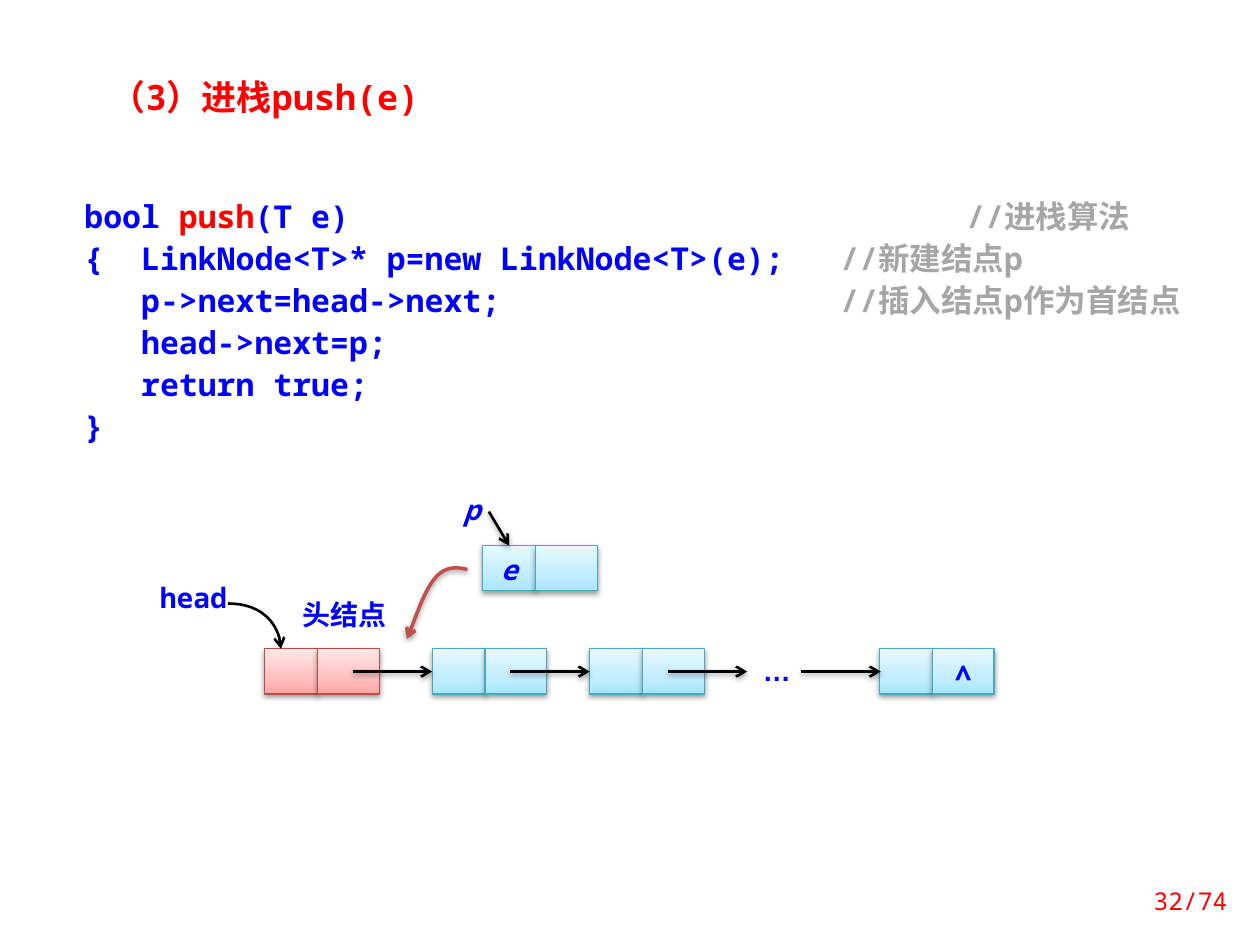
import copy

import pptx
import pptx.dml.color
import pptx.enum.shapes
import pptx.enum.text
import pptx.oxml
import pptx.oxml.ns
import pptx.util

Inches = pptx.util.Inches
Pt = pptx.util.Pt
qn = pptx.oxml.ns.qn
ALIGN = pptx.enum.text.PP_ALIGN
ANCHOR = pptx.enum.text.MSO_ANCHOR
RECTANGLE = pptx.enum.shapes.MSO_SHAPE.RECTANGLE
STRAIGHT = pptx.enum.shapes.MSO_CONNECTOR.STRAIGHT

MONO = "Noto Sans Mono"
RED, BLUE, GRAY, BLACK, WHITE = "FF0000", "0000FF", "A6A6A6", "000000", "FFFFFF"
PINK_CELL = (["FFA6A5", "FFC0BF", "FFE7E7"], "BF4C48")
CYAN_CELL = (["A7E6FF", "C1EDFF", "E7F8FF"], "46AAC5")
LABEL = {"size": Pt(16), "bold": True, "name": MONO}
NO_INSETS = (0, 0, 0, 0)
DATA_WIDTH, LINK_WIDTH, NODE_HEIGHT = 0.42, 0.49, 0.36
CODE = [
    [("bool ", BLUE), ("push", RED), ("(T e)\t\t\t\t\t", BLUE), ("//进栈算法", GRAY)],
    [("{  LinkNode<T>* p=new LinkNode<T>(e);\t", BLUE), ("//新建结点p", GRAY)],
    [("   p->next=head->next;\t\t\t", BLUE), ("//插入结点p作为首结点", GRAY)],
    [("   head->next=p;", BLUE)],
    [("   return true;", BLUE)],
    [("}", BLUE)],
]


def color(value):
    """Turn a hex string into a colour."""
    return pptx.dml.color.RGBColor.from_string(value)


def write(shape, lines, font, align=ALIGN.LEFT, insets=(0.1, 0.05, 0.1, 0.05),
          spacing=None, anchor=ANCHOR.TOP):
    """Fill a shape with lines, each a list of (text, colour) spans."""
    frame = shape.text_frame
    left, top, right, bottom = [Inches(inset) for inset in insets]
    layout = {"word_wrap": True, "vertical_anchor": anchor, "margin_left": left,
              "margin_top": top, "margin_right": right, "margin_bottom": bottom}
    for key, value in layout.items():
        setattr(frame, key, value)
    for index, line in enumerate(lines):
        para = frame.add_paragraph() if index else frame.paragraphs[0]
        para.alignment = align
        para.line_spacing = spacing
        for text, tone in line:
            span = para.add_run()
            span.text = text
            for key, value in font.items():
                setattr(span.font, key, value)
            span.font.color.rgb = color(tone)


def add_box(page, left, top, width, height):
    """Add a white rectangle without line or shadow."""
    box = page.shapes.add_shape(RECTANGLE, Inches(left), Inches(top),
                                Inches(width), Inches(height))
    box.shadow.inherit = False
    box.fill.solid()
    box.fill.fore_color.rgb = color(WHITE)
    box.line.fill.background()
    return box


def add_text(page, left, top, width, height, text, font, **layout):
    """Add a text box with one red line."""
    box = page.shapes.add_textbox(Inches(left), Inches(top), Inches(width), Inches(height))
    write(box, [[(text, RED)]], font, **layout)


def add_label(page, left, top, width, text, **changes):
    """Add a centred blue label of the diagram."""
    box = add_box(page, left, top, width, NODE_HEIGHT)
    write(box, [[(text, BLUE)]], {**LABEL, **changes}, ALIGN.CENTER, NO_INSETS)


def set_effects(shape, shadow):
    """Give a shape a soft shadow below it, or none."""
    properties = shape.element.spPr
    for old in properties.findall(qn("a:effectLst")):
        properties.remove(old)
    inner = (f'<a:outerShdw blurRad="{Pt(3.1)}" dist="{Pt(1.6)}" dir="5400000" rotWithShape="0">'
             '<a:srgbClr val="000000"><a:alpha val="38000"/></a:srgbClr></a:outerShdw>')
    properties.append(pptx.oxml.parse_xml(
        f'<a:effectLst {pptx.oxml.ns.nsdecls("a")}>{inner if shadow else ""}</a:effectLst>'))


def style_arrow(shape, tone, width, shadow=True):
    """Set line and effects, with an open arrowhead at the far end."""
    shape.line.color.rgb = color(tone)
    shape.line.width = Pt(width)
    shape.element.spPr.find(qn("a:ln")).append(pptx.oxml.parse_xml(
        f'<a:tailEnd {pptx.oxml.ns.nsdecls("a")} type="arrow"/>'))
    set_effects(shape, shadow)


def add_arrow(page, start, end):
    """Add a straight black arrow."""
    ends = [Inches(value) for value in (*start, *end)]
    style_arrow(page.shapes.add_connector(STRAIGHT, *ends), BLACK, 1.5)


def add_curve(page, points, tone, width, shadow):
    """Add an arrow along cubic curves: a start, then three points per curve."""
    start, *others = [(Inches(across), Inches(down)) for across, down in points]
    builder = page.shapes.build_freeform(*start)
    builder.add_line_segments(others, close=False)
    curve = builder.convert_to_shape()
    segments = list(curve.element.iter(qn("a:lnTo")))
    for first in range(0, len(segments), 3):
        bezier = pptx.oxml.parse_xml(f'<a:cubicBezTo {pptx.oxml.ns.nsdecls("a")}/>')
        segments[first].addprevious(bezier)
        for segment in segments[first:first + 3]:
            bezier.append(segment[0])
            segment.getparent().remove(segment)
    curve.fill.background()
    style_arrow(curve, tone, width, shadow)


def add_node(page, left, top, look, data="", link=""):
    """Add a list node: a data cell and a link cell side by side."""
    tones, outline = look
    cells = [(left, DATA_WIDTH, data), (left + DATA_WIDTH, LINK_WIDTH, link)]
    for start, width, text in cells:
        cell = add_box(page, start, top, width, NODE_HEIGHT)
        cell.fill.gradient()
        cell.fill.gradient_angle = 90
        stops = cell.element.spPr.find(qn("a:gradFill")).find(qn("a:gsLst"))
        stops.insert(1, copy.deepcopy(stops[0]))
        for stop, tone, position in zip(cell.fill.gradient_stops, tones, (0, 0.35, 1)):
            stop.color.rgb = color(tone)
            stop.position = position
        cell.line.color.rgb = color(outline)
        cell.line.width = Pt(0.75)
        set_effects(cell, True)
        if text:
            write(cell, [[(text, BLUE)]], {**LABEL, "italic": text == "e"},
                  ALIGN.CENTER, NO_INSETS, Pt(23))


def add_code(page, left, top, width, height):
    """Add the listing of the push function, with a tab stop at each inch."""
    box = add_box(page, left, top, width, height)
    write(box, CODE, {"size": Pt(18), "bold": True, "name": MONO},
          insets=(0.2, 0.12, 0.1, 0.12), spacing=Pt(24))
    stops = "".join(f'<a:tab pos="{Inches(stop)}" algn="l"/>' for stop in range(1, 9))
    for para in box.text_frame.paragraphs:
        para._p.get_or_add_pPr().append(pptx.oxml.parse_xml(
            f'<a:tabLst {pptx.oxml.ns.nsdecls("a")}>{stops}</a:tabLst>'))


def add_diagram(page, left, top):
    """Draw the linked stack and the new node that goes in after the head."""
    row = top + 1.24
    middle = row + NODE_HEIGHT / 2
    add_label(page, left + 4.69, row + 0.04, 0.49, "…", name="Arial")
    add_label(page, left, top + 0.7, 0.61, "head")
    add_label(page, left + 1.09, top + 0.83, 0.83, "头结点")
    nodes = [(0.87, PINK_CELL, ""), (2.2, CYAN_CELL, ""),
             (3.45, CYAN_CELL, ""), (5.75, CYAN_CELL, "∧")]
    for offset, look, link in nodes:
        add_node(page, left + offset, row, look, link=link)
    for offset in (1.57, 2.82, 4.07, 5.13):
        add_arrow(page, (left + offset, middle), (left + offset + 0.63, middle))
    add_node(page, left + 2.6, top + 0.42, CYAN_CELL, data="e")
    add_label(page, left + 2.37, top, 0.29, "p", italic=True)
    add_arrow(page, (left + 2.65, top + 0.15), (left + 2.81, top + 0.42))
    curves = [
        ([(0.58, 0.88), (0.81, 0.88), (1, 1.04), (1, 1.24)], BLACK, 1.5, False),
        ([(2.48, 0.61), (2.4, 0.59), (2.31, 0.58), (2.23, 0.67),
          (2.15, 0.76), (2.08, 0.96), (2, 1.16)], "C0504D", 2, True),
    ]
    for offsets, tone, width, shadow in curves:
        points = [(left + across, top + down) for across, down in offsets]
        add_curve(page, points, tone, width, shadow)


def main():
    """Build the slide and save it."""
    deck = pptx.Presentation()
    deck.slide_width, deck.slide_height = Inches(10), Inches(7.5)
    page = deck.slides.add_slide(deck.slide_layouts[6])
    add_text(page, 0.78, 0.55, 2.89, 0.44, "（3）进栈push(e)",
             {"size": Pt(20), "bold": True, "name": MONO})
    add_code(page, 0.47, 1.41, 9.22, 2.24)
    add_diagram(page, 1.23, 3.91)
    add_text(page, 8.86, 6.95, 0.98, 0.4, "32/74", {"size": Pt(14), "name": MONO},
             align=ALIGN.RIGHT, anchor=ANCHOR.MIDDLE)
    deck.save("out.pptx")


if __name__ == "__main__":
    main()
